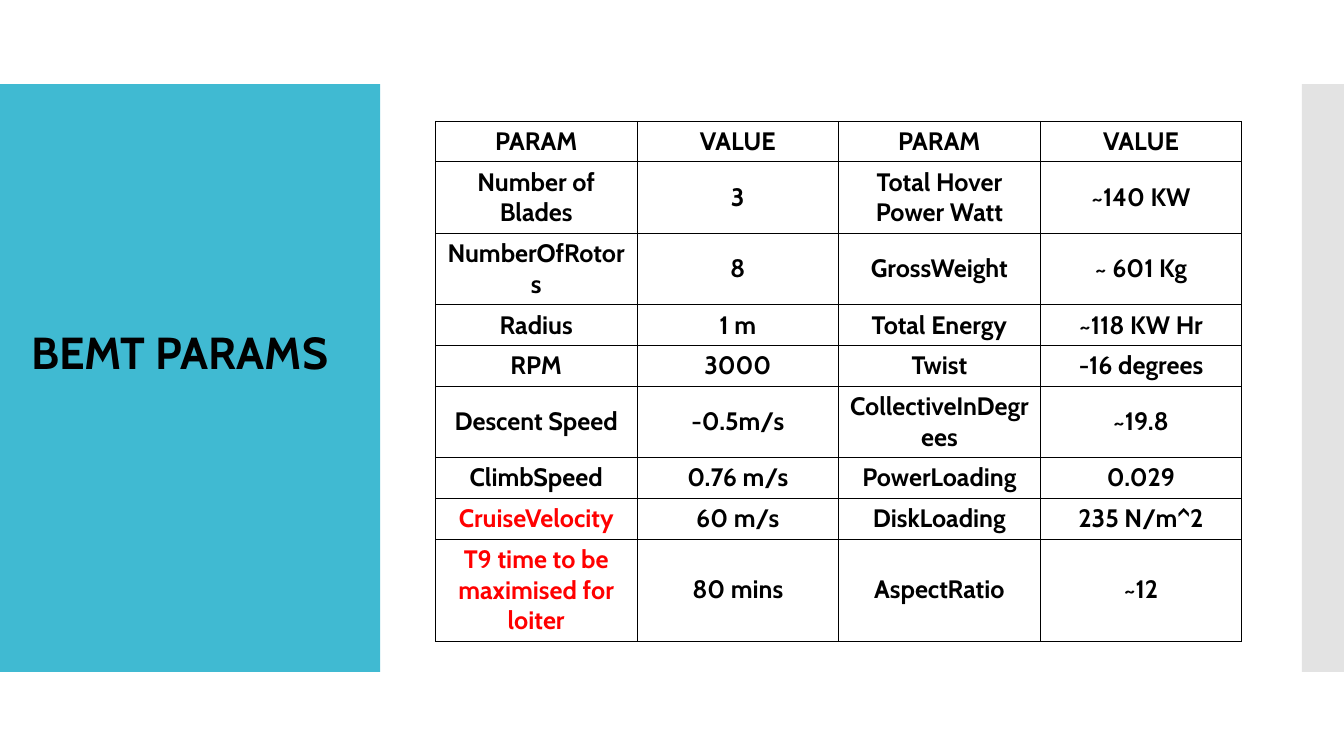
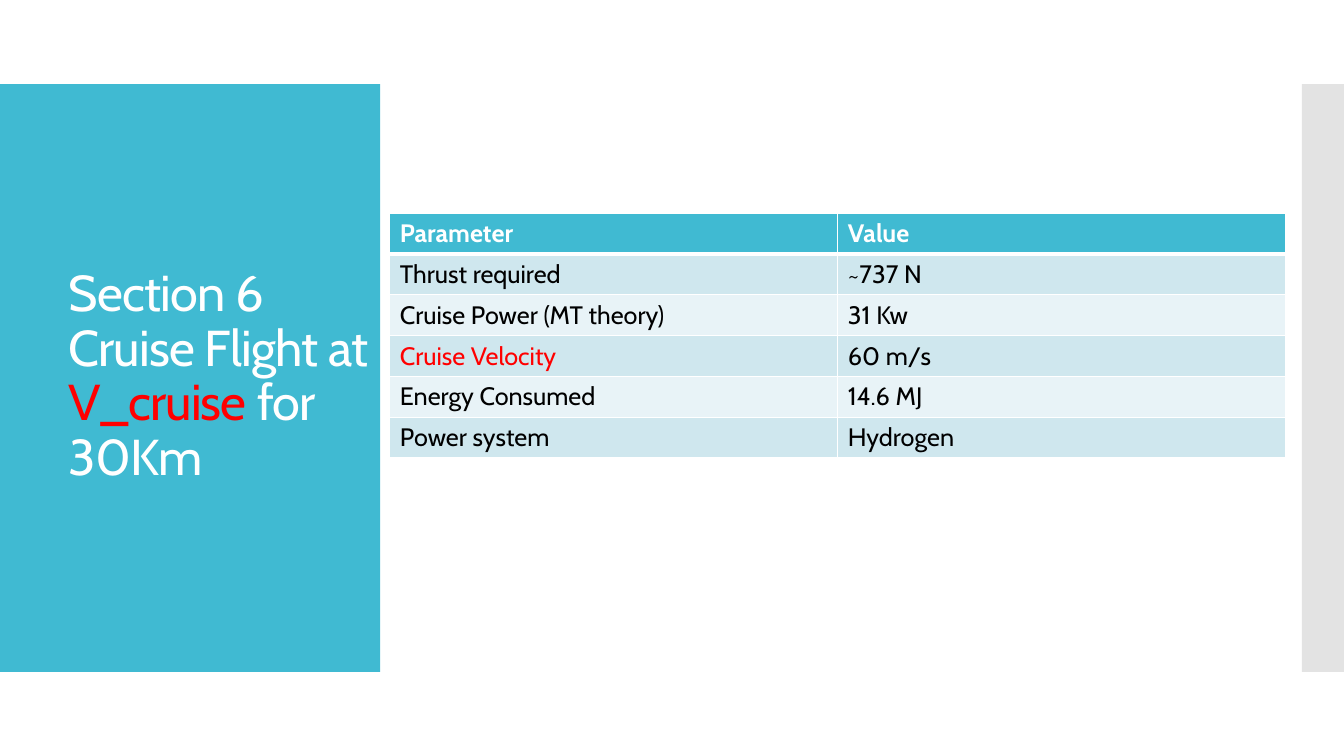
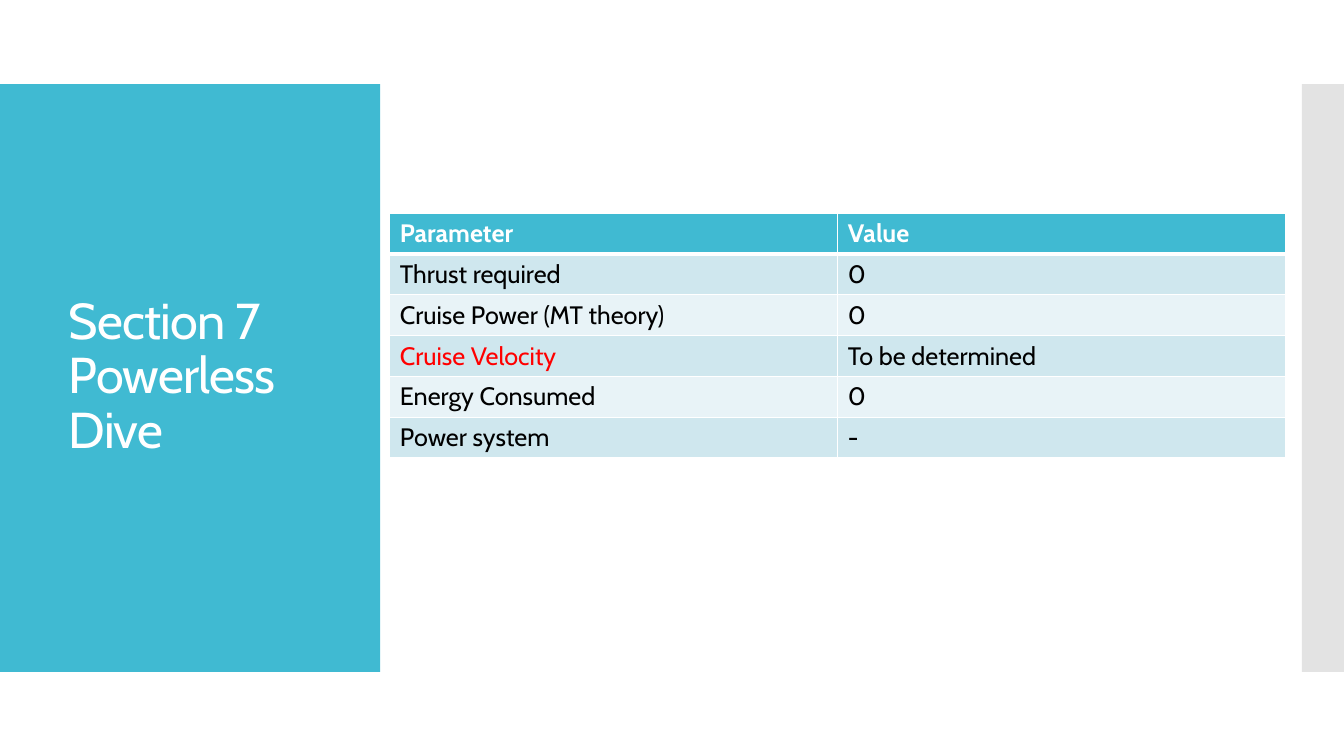
"""Build three slides of rotorcraft parameters: BEMT inputs, cruise flight and powerless dive."""
from lxml.etree import SubElement
from pptx import Presentation
from pptx.dml.color import RGBColor
from pptx.enum.shapes import MSO_SHAPE
from pptx.enum.text import MSO_ANCHOR as ANCHOR, PP_ALIGN as ALIGN
from pptx.oxml.ns import qn
from pptx.util import Pt

TEAL = RGBColor(0x40, 0xBA, 0xD2)
GREY = RGBColor(0xC8, 0xC8, 0xC8)
BLACK = RGBColor(0, 0, 0)
WHITE = RGBColor(255, 255, 255)
RED = RGBColor(255, 0, 0)
BAND_DARK = RGBColor(0xCF, 0xE7, 0xEE)
BAND_LIGHT = RGBColor(0xE8, 0xF3, 0xF7)
FONT = "Cabin"
BAND_TOP, BAND_HEIGHT = 60, 420
RED_LABELS = {"CruiseVelocity", "T9 time to be maximised for loiter", "Cruise Velocity"}


def add_run(paragraph, text, size, color, bold=False):
    run = paragraph.add_run()
    run.text = text
    run.font.name = FONT
    run.font.size = Pt(size)
    run.font.color.rgb = color
    run.font.bold = bold
    return run


def add_border(cell, side, color, width):
    line = SubElement(cell._tc.get_or_add_tcPr(), qn(f"a:ln{side}"), w=str(Pt(width)))
    SubElement(SubElement(line, qn("a:solidFill")), qn("a:srgbClr"), val=str(color))


BEMT_ROWS = [
    ("PARAM", "VALUE", "PARAM", "VALUE"),
    ("Number of Blades", "3", "Total Hover Power Watt", "~140 KW"),
    ("NumberOfRotors", "8", "GrossWeight", "~ 601 Kg"),
    ("Radius", "1 m", "Total Energy", "~118 KW Hr"),
    ("RPM", "3000", "Twist", "-16 degrees"),
    ("Descent Speed", "-0.5m/s", "CollectiveInDegrees", "~19.8"),
    ("ClimbSpeed", "0.76 m/s", "PowerLoading", "0.029"),
    ("CruiseVelocity", "60 m/s", "DiskLoading", "235 N/m^2"),
    ("T9 time to be maximised for loiter", "80 mins", "AspectRatio", "~12"),
]
BEMT_LINES = [1, 2, 2, 1, 1, 2, 1, 1, 3]
SECTION_LABELS = ["Parameter", "Thrust required", "Cruise Power (MT theory)",
                  "Cruise Velocity", "Energy Consumed", "Power system"]
CRUISE_VALUES = ["Value", "~737 N", "31 Kw", "60 m/s", "14.6 MJ", "Hydrogen"]
DIVE_VALUES = ["Value", "0", "0", "To be determined", "0", "-"]

SLIDES = [
    ([[("BEMT PARAMS", BLACK)]], BEMT_ROWS, False),
    ([[("Section 6", WHITE)],
      [("Cruise Flight at ", WHITE), ("V_cruise ", RED), ("for 30Km", WHITE)]],
     list(zip(SECTION_LABELS, CRUISE_VALUES)), True),
    ([[("Section 7", WHITE)], [("Powerless Dive", WHITE)]],
     list(zip(SECTION_LABELS, DIVE_VALUES)), True),
]

deck = Presentation()
deck.slide_width, deck.slide_height = Pt(960), Pt(540)

for title_lines, rows, is_section in SLIDES:
    slide = deck.slides.add_slide(deck.slide_layouts[6])

    for left, width, color, opacity in [(0, 271.5, TEAL, 100), (930, 30, GREY, 50)]:
        band = slide.shapes.add_shape(
            MSO_SHAPE.RECTANGLE, Pt(left), Pt(BAND_TOP), Pt(width), Pt(BAND_HEIGHT))
        band.shadow.inherit = False
        band.fill.solid()
        band.fill.fore_color.rgb = color
        band.line.fill.background()
        if opacity < 100:
            tint = band._element.spPr.find(f".//{qn('a:srgbClr')}")
            SubElement(tint, qn("a:alpha"), val=str(opacity * 1000))

    title_box = (42, 88.5, 232, 362) if is_section else (-111.6, 228.5, 480, 46)
    title = slide.shapes.add_textbox(*map(Pt, title_box)).text_frame
    title.word_wrap = True
    title.vertical_anchor = ANCHOR.MIDDLE if is_section else ANCHOR.TOP
    heading = title.paragraphs[0]
    heading.alignment = ALIGN.LEFT if is_section else ALIGN.CENTER
    heading.line_spacing = 0.9 if is_section else 1.0
    for number, line in enumerate(title_lines):
        if number:
            heading.add_line_break()
        for text, color in line:
            run = add_run(heading, text, 36 if is_section else 32, color, not is_section)
            if is_section:
                run.font._element.set("spc", "-60")

    if is_section:
        left, top, table_width = 278.5, 152.2, 640
        heights = [29.2] * 4 + [29] * 2
        border_color, border_width = WHITE, 1
    else:
        left, top, table_width = 311, 86.5, 576
        heights = [7.2 + 21.9 * count for count in BEMT_LINES]
        border_color, border_width = BLACK, 0.6
    columns = len(rows[0])
    table = slide.shapes.add_table(
        len(rows), columns, Pt(left), Pt(top), Pt(table_width), Pt(sum(heights))).table
    table.first_row = table.horz_banding = False
    for column in table.columns:
        column.width = Pt(table_width / columns)

    for r, (values, height) in enumerate(zip(rows, heights)):
        table.rows[r].height = Pt(height)
        for c, text in enumerate(values):
            cell = table.cell(r, c)
            for side in "LRTB":
                under_header = is_section and (r, side) in [(0, "B"), (1, "T")]
                add_border(cell, side, border_color, 3 if under_header else border_width)
            if is_section:
                cell.fill.solid()
                cell.fill.fore_color.rgb = (
                    TEAL if r == 0 else BAND_DARK if r % 2 else BAND_LIGHT)
            else:
                cell.fill.background()
            cell.vertical_anchor = ANCHOR.TOP if is_section else ANCHOR.MIDDLE
            entry = cell.text_frame.paragraphs[0]
            entry.alignment = ALIGN.LEFT if is_section else ALIGN.CENTER
            is_header = is_section and r == 0
            color = RED if text in RED_LABELS else WHITE if is_header else BLACK
            add_run(entry, text, 18, color, is_header or not is_section)

deck.save("out.pptx")
